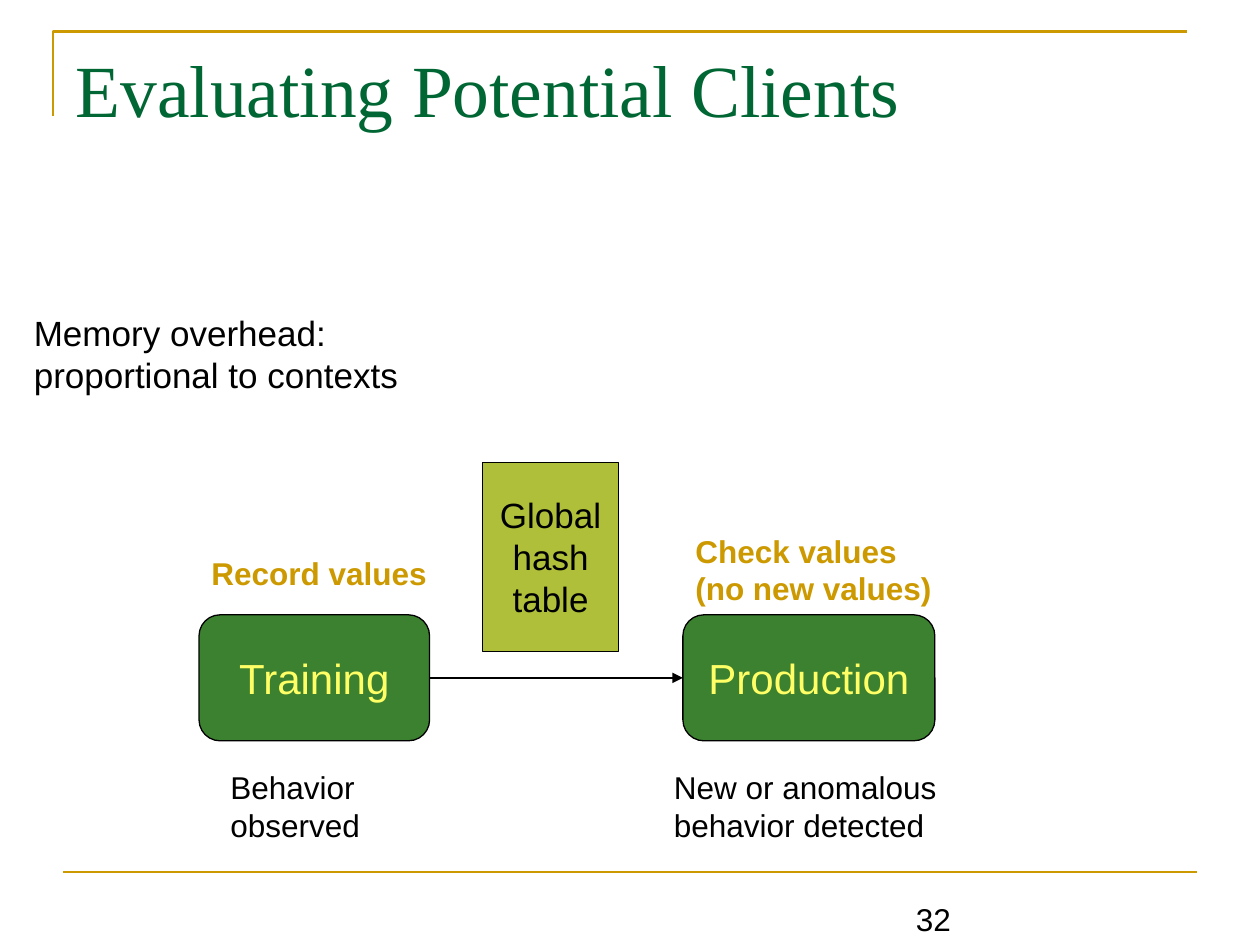
"""Build the slide on training and production phases of a client."""
from dataclasses import dataclass

from lxml import etree
from pptx import Presentation
from pptx.dml.color import RGBColor
from pptx.enum import shapes, text
from pptx.oxml import ns
from pptx.util import Inches, Pt

GOLD = RGBColor(0xCC, 0x99, 0x00)
GREEN = RGBColor(0x3B, 0x81, 0x2F)
LIME = RGBColor(0xAF, 0xBF, 0x39)
YELLOW = RGBColor(0xFF, 0xFF, 0x66)
PINE = RGBColor(0x00, 0x66, 0x33)
BLACK = RGBColor(0x00, 0x00, 0x00)
KIND = shapes.MSO_SHAPE
TOP, MIDDLE, BOTTOM = (text.MSO_ANCHOR.TOP, text.MSO_ANCHOR.MIDDLE,
                       text.MSO_ANCHOR.BOTTOM)
LEFT, CENTER = text.PP_ALIGN.LEFT, text.PP_ALIGN.CENTER


@dataclass
class Label:
    words: str
    left: float
    top: float
    width: float
    height: float
    size: float = 18
    color: RGBColor = BLACK
    bold: bool = False
    anchor: text.MSO_ANCHOR = TOP
    before: float = 0


@dataclass
class Box:
    words: str
    kind: shapes.MSO_SHAPE
    left: float
    top: float
    width: float
    height: float
    fill: RGBColor
    color: RGBColor
    size: float
    wrap: bool = False


LABELS = [
    Label("Behavior observed", 1.73, 6.05, 1.27, 0.7),
    Label("New or anomalous behavior detected", 5.25, 6.05, 2.42, 0.7),
    Label("Record values", 1.58, 4.35, 2.42, 0.4, color=GOLD, bold=True),
    Label("Check values\n(no new values)", 5.42, 4.17, 2.08, 0.7,
          color=GOLD, bold=True),
    Label("Memory overhead: proportional to contexts", 0.17, 2.42, 3.33, 0.77,
          size=20, before=12.5),
    Label("32", 7.17, 6.99, 2.33, 0.5, anchor=BOTTOM),
]
TRAIN = Box("Training", KIND.ROUNDED_RECTANGLE, 1.58, 4.88, 1.83, 1,
            GREEN, YELLOW, 24)
PROD = Box("Production", KIND.ROUNDED_RECTANGLE, 5.42, 4.88, 2, 1,
           GREEN, YELLOW, 24)
TABLE = Box("Global hash table", KIND.RECTANGLE, 3.83, 3.67, 1.08, 1.5,
            LIME, BLACK, 20, True)


def write(frame, words: str, size: float, color: RGBColor, face: str = "Arial",
          bold: bool = False, align=LEFT, anchor=TOP, wrap: bool = True,
          before: float = 0) -> None:
    """Fill a text frame with evenly styled paragraphs."""
    frame.text = words
    frame.word_wrap = wrap
    frame.auto_size = text.MSO_AUTO_SIZE.NONE
    frame.vertical_anchor = anchor
    for para in frame.paragraphs:
        para.alignment = align
        para.space_before = Pt(before)
        para.font.name = face
        para.font.size = Pt(size)
        para.font.bold = bold
        para.font.color.rgb = color


def stroke(shape, color: RGBColor, width: float) -> None:
    """Set the outline of a shape or connector."""
    shape.line.color.rgb = color
    shape.line.width = Pt(width)


def add_label(slide, item: Label) -> None:
    """Draw a text box."""
    box = slide.shapes.add_textbox(Inches(item.left), Inches(item.top),
                                   Inches(item.width), Inches(item.height))
    write(box.text_frame, item.words, item.size, item.color, bold=item.bold,
          anchor=item.anchor, before=item.before)


def add_box(slide, item: Box):
    """Draw a filled box with centred words."""
    box = slide.shapes.add_shape(item.kind, Inches(item.left), Inches(item.top),
                                 Inches(item.width), Inches(item.height))
    box.shadow.inherit = False
    box.fill.solid()
    box.fill.fore_color.rgb = item.fill
    stroke(box, BLACK, 0.75)
    write(box.text_frame, item.words, item.size, item.color, align=CENTER,
          anchor=MIDDLE, wrap=item.wrap)
    return box


def add_line(slide, start: tuple, end: tuple, color: RGBColor, width: float):
    """Draw a straight line without a shadow."""
    line = slide.shapes.add_connector(shapes.MSO_CONNECTOR.STRAIGHT,
                                      *map(Inches, start + end))
    stroke(line, color, width)
    etree.SubElement(line._element.spPr, ns.qn("a:effectLst"))
    return line


def add_corner(slide) -> None:
    """Draw the open corner above the title."""
    pen = slide.shapes.build_freeform(Inches(0.42), Inches(0.92))
    pen.add_line_segments([(Inches(0.42), Inches(0.25)),
                           (Inches(9.42), Inches(0.25))], close=False)
    corner = pen.convert_to_shape()
    corner.shadow.inherit = False
    corner.fill.background()
    stroke(corner, GOLD, 1.5)


def add_title(slide, words: str) -> None:
    """Place and style the title."""
    title = slide.shapes.title
    title.left, title.top = Inches(0.5), Inches(0.3)
    title.width, title.height = Inches(9), Inches(1.25)
    write(title.text_frame, words, 42, PINE, "Times New Roman")


def main() -> None:
    """Build and save the slide."""
    deck = Presentation()
    deck.slide_width, deck.slide_height = Inches(10), Inches(7.5)
    slide = deck.slides.add_slide(deck.slide_layouts[5])
    add_corner(slide)
    add_line(slide, (0.5, 6.92), (9.5, 6.92), GOLD, 1.5)
    add_title(slide, "Evaluating Potential Clients")
    train, prod = add_box(slide, TRAIN), add_box(slide, PROD)
    arrow = add_line(slide, (3.42, 5.38), (5.42, 5.38), BLACK, 0.75)
    arrow.begin_connect(train, 3)
    arrow.end_connect(prod, 1)
    etree.SubElement(arrow.line._get_or_add_ln(), ns.qn("a:tailEnd"),
                     type="triangle")
    add_box(slide, TABLE)
    for item in LABELS:
        add_label(slide, item)
    deck.save("out.pptx")


if __name__ == "__main__":
    main()
